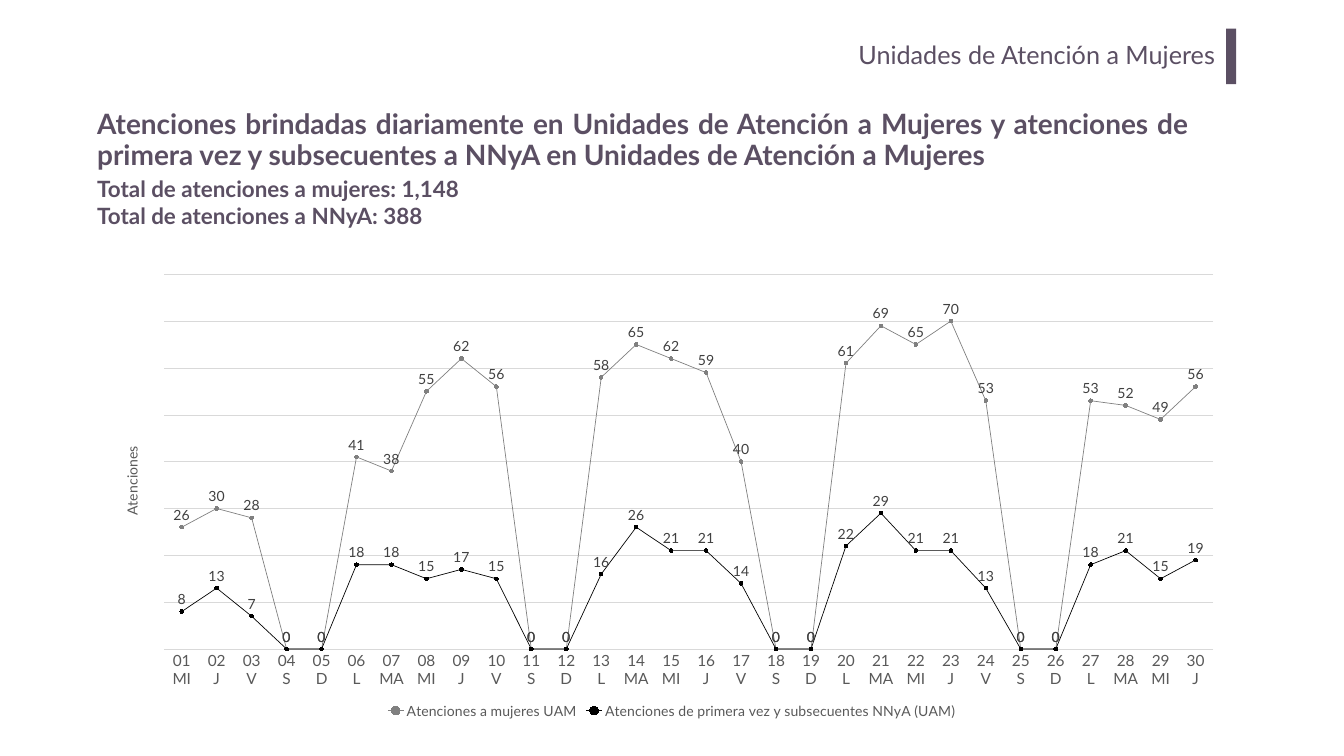
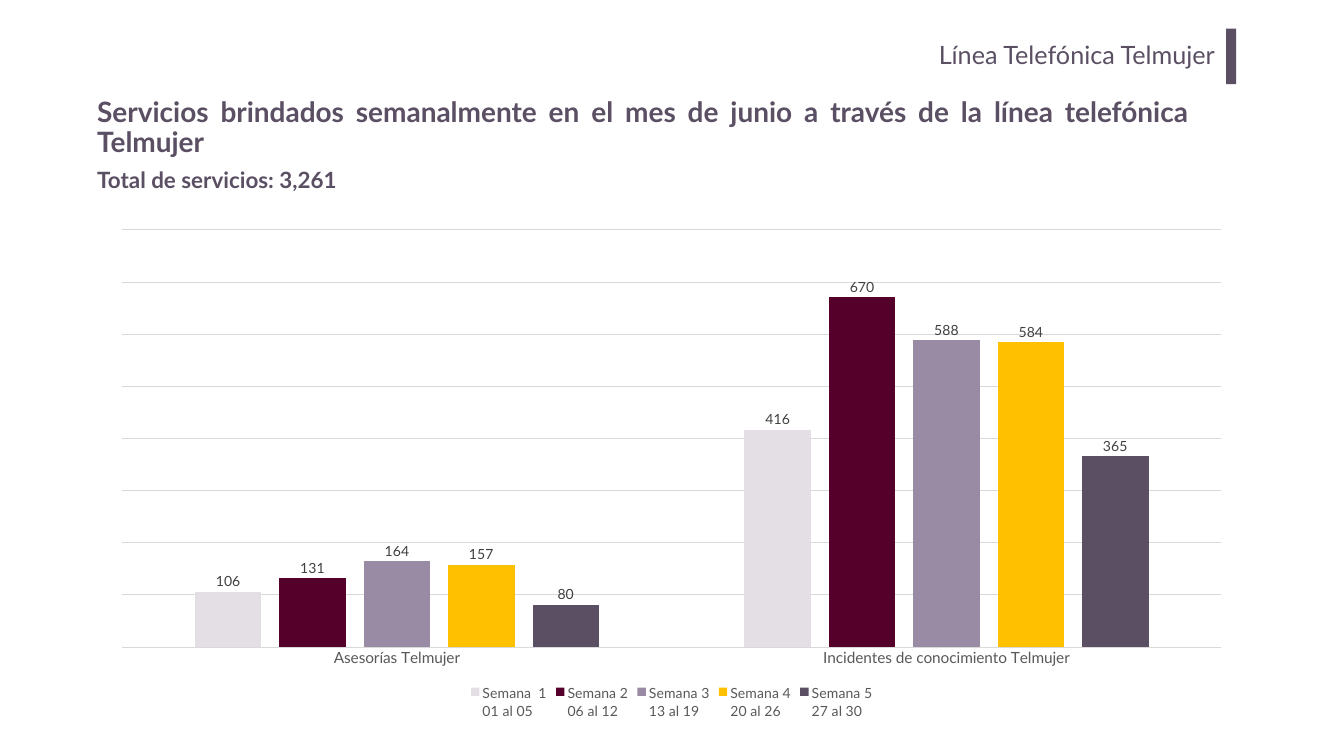
import pptx
import pptx.chart.data
import pptx.dml.color
import pptx.enum.chart
import pptx.enum.shapes
import pptx.enum.text
import pptx.oxml
import pptx.oxml.ns
import pptx.util
from pptx.util import Inches

COLORS = {
    "purple": "5B4F63",
    "lilac": "998BA3",
    "pale": "E3DFE5",
    "wine": "54002A",
    "yellow": "FFC000",
    "gray": "808080",
    "black": "000000",
    "axis_text": "595959",
    "label_text": "404040",
    "grid": "D9D9D9",
    "white": "FFFFFF",
}
FONT = "Lato"
ALIGN = pptx.enum.text.PP_ALIGN
ANCHOR = pptx.enum.text.MSO_ANCHOR
CHART_TYPE = pptx.enum.chart.XL_CHART_TYPE
LABEL_POSITION = pptx.enum.chart.XL_LABEL_POSITION

WEEKDAYS = ["L", "MA", "MI", "J", "V", "S", "D"]
DAYS = [f"{day:02d}\n{WEEKDAYS[(day + 1) % 7]}" for day in range(1, 31)]
DAILY_SERIES = [
    ("Atenciones a mujeres UAM", "gray",
     [26, 30, 28, 0, 0, 41, 38, 55, 62, 56, 0, 0, 58, 65, 62,
      59, 40, 0, 0, 61, 69, 65, 70, 53, 0, 0, 53, 52, 49, 56]),
    ("Atenciones de primera vez y subsecuentes NNyA (UAM)", "black",
     [8, 13, 7, 0, 0, 18, 18, 15, 17, 15, 0, 0, 16, 26, 21,
      21, 14, 0, 0, 22, 29, 21, 21, 13, 0, 0, 18, 21, 15, 19]),
]
SERVICES = ["Asesorías Telmujer", "Incidentes de conocimiento Telmujer"]
WEEKLY_SERIES = [
    ("Semana  1\n01 al 05", "pale", [106, 416]),
    ("Semana 2\n06 al 12", "wine", [131, 670]),
    ("Semana 3\n13 al 19", "lilac", [164, 588]),
    ("Semana 4\n20 al 26", "yellow", [157, 584]),
    ("Semana 5\n27 al 30", "purple", [80, 365]),
]


def rgb(name):
    """Return the named colour."""
    return pptx.dml.color.RGBColor.from_string(COLORS[name])


def set_values(target, values):
    """Set each attribute of the target from a dict."""
    for name, value in values.items():
        setattr(target, name, value)


def style_font(font, size, color, bold=False):
    """Apply the deck's font with a size and colour."""
    set_values(font, {"name": FONT, "size": pptx.util.Pt(size), "bold": bold})
    font.color.rgb = rgb(color)


def style_line(line, color, width):
    """Give a line its colour and width in points."""
    line.color.rgb = rgb(color)
    line.width = pptx.util.Pt(width)


def fill_solid(fill, color):
    """Fill with one colour."""
    fill.solid()
    fill.fore_color.rgb = rgb(color)


def add_text(slide, box, lines, size, bold=False, inset=(0.1, 0.05),
             frame_format=None, paragraph_format=None):
    """Add a text box with one paragraph per line."""
    frame = slide.shapes.add_textbox(*map(Inches, box)).text_frame
    horizontal, vertical = map(Inches, inset)
    set_values(frame, {
        "word_wrap": True,
        "margin_left": horizontal, "margin_right": horizontal,
        "margin_top": vertical, "margin_bottom": vertical,
        **(frame_format or {}),
    })
    for index, line in enumerate(lines):
        paragraph = frame.add_paragraph() if index else frame.paragraphs[0]
        set_values(paragraph, paragraph_format or {})
        run = paragraph.add_run()
        run.text = line
        style_font(run.font, size, "purple", bold)


def add_section_header(slide, text):
    """Add the section name and the bar beside it."""
    add_text(slide, (4.01, 0.67, 20.3, 1.02), [text], 36, inset=(0.2, 0.1),
             paragraph_format={"alignment": ALIGN.RIGHT})
    bar = slide.shapes.add_shape(
        pptx.enum.shapes.MSO_SHAPE.RECTANGLE,
        *map(Inches, (24.33, 0.57, 0.2, 1.1)))
    bar.shadow.inherit = False
    fill_solid(bar.fill, "purple")
    bar.line.fill.background()


def add_title(slide, top, text):
    """Add the justified slide title."""
    add_text(slide, (1.83, top, 21.85, 1.45), [text], 40, bold=True,
             frame_format={"vertical_anchor": ANCHOR.MIDDLE},
             paragraph_format={"alignment": ALIGN.JUSTIFY,
                               "line_spacing": 0.9})


def add_totals(slide, box, lines):
    """Add the totals under the title."""
    add_text(slide, box, lines, 32, bold=True, frame_format={
        "auto_size": pptx.enum.text.MSO_AUTO_SIZE.SHAPE_TO_FIT_TEXT})


def make_layout(values, inner=False):
    """Return a manual layout with fractions of the chart area."""
    target = '<c:layoutTarget val="inner"/>' if inner else ""
    modes = '<c:xMode val="edge"/><c:yMode val="edge"/>'
    places = "".join(f'<c:{name} val="{value}"/>'
                     for name, value in zip("xywh", values))
    return pptx.oxml.parse_xml(
        f'<c:layout {pptx.oxml.ns.nsdecls("c")}><c:manualLayout>'
        f"{target}{modes}{places}</c:manualLayout></c:layout>")


def remove_layout(element):
    """Remove the layout that an element holds."""
    for layout in element.findall(pptx.oxml.ns.qn("c:layout")):
        element.remove(layout)


def add_chart(slide, chart_type, box, categories, series_rows, scale,
              label_position, plot_box):
    """Add a chart with a bottom legend and a hidden value axis."""
    data = pptx.chart.data.CategoryChartData()
    data.categories = categories
    for name, _, values in series_rows:
        data.add_series(name, values)
    chart = slide.shapes.add_chart(
        chart_type, *map(Inches, box), data).chart
    set_values(chart, {"has_title": False, "has_legend": True})
    style_font(chart.font, 20, "axis_text")
    set_values(chart.legend, {
        "position": pptx.enum.chart.XL_LEGEND_POSITION.BOTTOM,
        "include_in_layout": False})
    style_font(chart.legend.font, 20, "axis_text")

    category_axis = chart.category_axis
    category_axis.major_tick_mark = pptx.enum.chart.XL_TICK_MARK.NONE
    style_font(category_axis.tick_labels.font, 22, "axis_text")
    style_line(category_axis.format.line, "grid", 0.75)
    maximum, step = scale
    set_values(chart.value_axis, {
        "minimum_scale": 0, "maximum_scale": maximum, "major_unit": step,
        "has_major_gridlines": True, "visible": False})
    style_line(chart.value_axis.major_gridlines.format.line, "grid", 0.75)

    chart.plots[0].vary_by_categories = False
    for series in chart.plots[0].series:
        labels = series.data_labels
        set_values(labels, {"show_value": True, "position": label_position})
        style_font(labels.font, 20, "label_text")
    plot_area = chart.plots[0]._element.getparent()
    remove_layout(plot_area)
    plot_area.insert(0, make_layout(plot_box, inner=True))
    return chart


def add_axis_title(axis, text, place):
    """Add a vertical title to an axis."""
    title = axis.axis_title
    frame = title.text_frame
    frame.text = text
    style_font(frame.paragraphs[0].runs[0].font, 20, "axis_text")
    body = frame._txBody.find(pptx.oxml.ns.qn("a:bodyPr"))
    body.set("rot", "-5400000")
    body.set("vert", "horz")
    remove_layout(title._element)
    title._element.find(pptx.oxml.ns.qn("c:tx")).addnext(make_layout(place))


def add_daily_chart(slide):
    """Add the line chart of daily attentions."""
    chart = add_chart(
        slide, CHART_TYPE.LINE_MARKERS, (2.14, 5.26, 22.38, 9.07), DAYS,
        DAILY_SERIES, (80, 10), LABEL_POSITION.ABOVE,
        (0.05, 0.02, 0.93, 0.82))
    for series, (_, color, _) in zip(chart.plots[0].series, DAILY_SERIES):
        series.smooth = False
        style_line(series.format.line, color, 1)
        set_values(series.marker, {
            "style": pptx.enum.chart.XL_MARKER_STYLE.CIRCLE, "size": 5})
        fill_solid(series.marker.format.fill, color)
        style_line(series.marker.format.line, color, 0.75)
    add_axis_title(chart.value_axis, "Atenciones", (0.01, 0.39))


def add_weekly_chart(slide):
    """Add the column chart of weekly services."""
    chart = add_chart(
        slide, CHART_TYPE.COLUMN_CLUSTERED, (1.97, 4.36, 22.72, 9.97),
        SERVICES, WEEKLY_SERIES, (800, 100), LABEL_POSITION.OUTSIDE_END,
        (0.02, 0.02, 0.96, 0.83))
    set_values(chart.plots[0], {"gap_width": 219, "overlap": -27})
    for series, (_, color, _) in zip(chart.plots[0].series, WEEKLY_SERIES):
        fill_solid(series.format.fill, color)
        series.invert_if_negative = False


def add_slide(presentation, section, title_top, title, totals_box, totals):
    """Add a slide with its header, title and totals."""
    slide = presentation.slides.add_slide(presentation.slide_layouts[6])
    fill_solid(slide.background.fill, "white")
    add_section_header(slide, section)
    add_title(slide, title_top, title)
    add_totals(slide, totals_box, totals)
    return slide


def main():
    """Build and save the presentation."""
    presentation = pptx.Presentation()
    set_values(presentation, {"slide_width": Inches(26.67),
                              "slide_height": Inches(15)})
    add_daily_chart(add_slide(
        presentation, "Unidades de Atención a Mujeres", 2.07,
        "Atenciones brindadas diariamente en Unidades de Atención a Mujeres "
        "y atenciones de primera vez y subsecuentes a NNyA en Unidades de "
        "Atención a Mujeres",
        (1.83, 3.43, 8.12, 1.18),
        ["Total de atenciones a mujeres: 1,148",
         "Total de atenciones a NNyA: 388"]))
    add_weekly_chart(add_slide(
        presentation, "Línea Telefónica Telmujer", 1.82,
        "Servicios brindados semanalmente en el mes de junio a través de la "
        "línea telefónica Telmujer",
        (1.83, 3.24, 5.64, 0.64), ["Total de servicios: 3,261"]))
    presentation.save("out.pptx")


if __name__ == "__main__":
    main()
